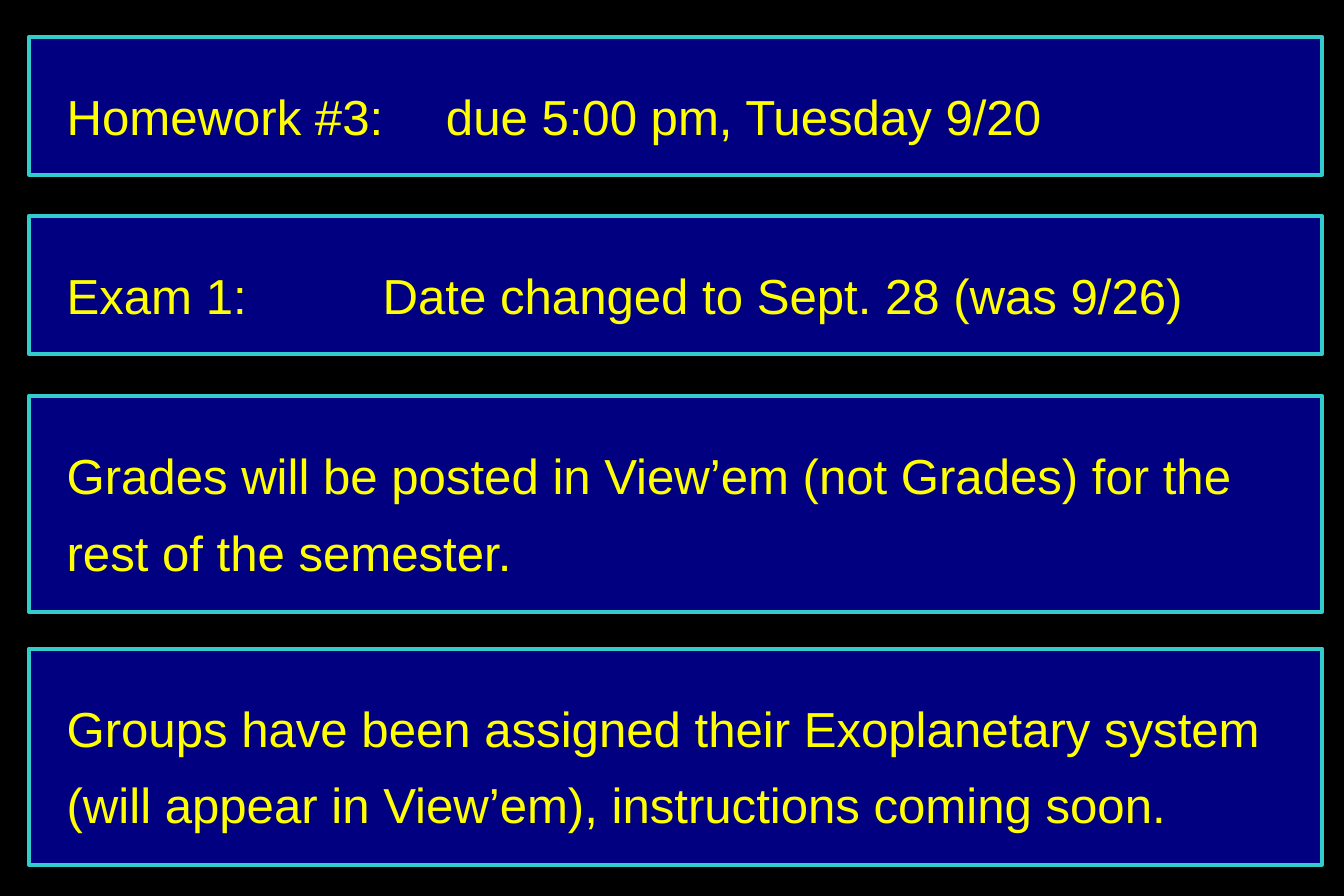
"""Build the slide of course notices."""
import dataclasses

import pptx
import pptx.dml.color
import pptx.enum.shapes
import pptx.enum.text
import pptx.slide
import pptx.util

Cm = pptx.util.Cm
Pt = pptx.util.Pt
RGBColor = pptx.dml.color.RGBColor

BLACK = RGBColor(0x00, 0x00, 0x00)
NAVY = RGBColor(0x00, 0x00, 0x80)
TEAL = RGBColor(0x33, 0xCC, 0xCC)
YELLOW = RGBColor(0xFF, 0xFF, 0x00)

LEFT = Cm(0.58)
WIDTH = Cm(25.98)
SHORT = Cm(2.77)
TALL = Cm(4.34)


@dataclasses.dataclass(frozen=True)
class Notice:
    """One framed notice."""

    top: pptx.util.Length
    height: pptx.util.Length
    text: str


NOTICES = (
    Notice(Cm(0.74), SHORT, "Homework #3: \tdue 5:00 pm, Tuesday 9/20"),
    Notice(Cm(4.34), SHORT, "Exam 1: \t\tDate changed to Sept. 28 (was 9/26)"),
    Notice(Cm(7.95), TALL,
           "Grades will be posted in View’em (not Grades) for the rest of the semester."),
    Notice(Cm(13.03), TALL,
           "Groups have been assigned their Exoplanetary system "
           "(will appear in View’em), instructions coming soon."),
)


def draw_notice(slide: pptx.slide.Slide, notice: Notice) -> None:
    """Draw a notice as a framed box with its text."""
    box = slide.shapes.add_shape(
        pptx.enum.shapes.MSO_SHAPE.RECTANGLE, LEFT, notice.top, WIDTH, notice.height)
    box.shadow.inherit = False
    box.fill.solid()
    box.fill.fore_color.rgb = NAVY
    box.line.color.rgb = TEAL
    box.line.width = Pt(2.25)

    frame = box.text_frame
    frame.text = notice.text
    frame.word_wrap = True
    frame.auto_size = pptx.enum.text.MSO_AUTO_SIZE.SHAPE_TO_FIT_TEXT
    frame.vertical_anchor = pptx.enum.text.MSO_ANCHOR.TOP
    frame.margin_left = frame.margin_right = Cm(0.76)
    frame.margin_top = frame.margin_bottom = Cm(0.64)

    para = frame.paragraphs[0]
    para.alignment = pptx.enum.text.PP_ALIGN.LEFT
    para.line_spacing = 1.3
    for run in para.runs:
        run.font.name = "Arial"
        run.font.size = Pt(28)
        run.font.color.rgb = YELLOW


def main() -> None:
    """Build and save the deck."""
    deck = pptx.Presentation()
    deck.slide_width = Cm(27)
    deck.slide_height = Cm(18)
    slide = deck.slides.add_slide(deck.slide_layouts[6])
    slide.background.fill.solid()
    slide.background.fill.fore_color.rgb = BLACK
    for notice in NOTICES:
        draw_notice(slide, notice)
    deck.save("out.pptx")


if __name__ == "__main__":
    main()
